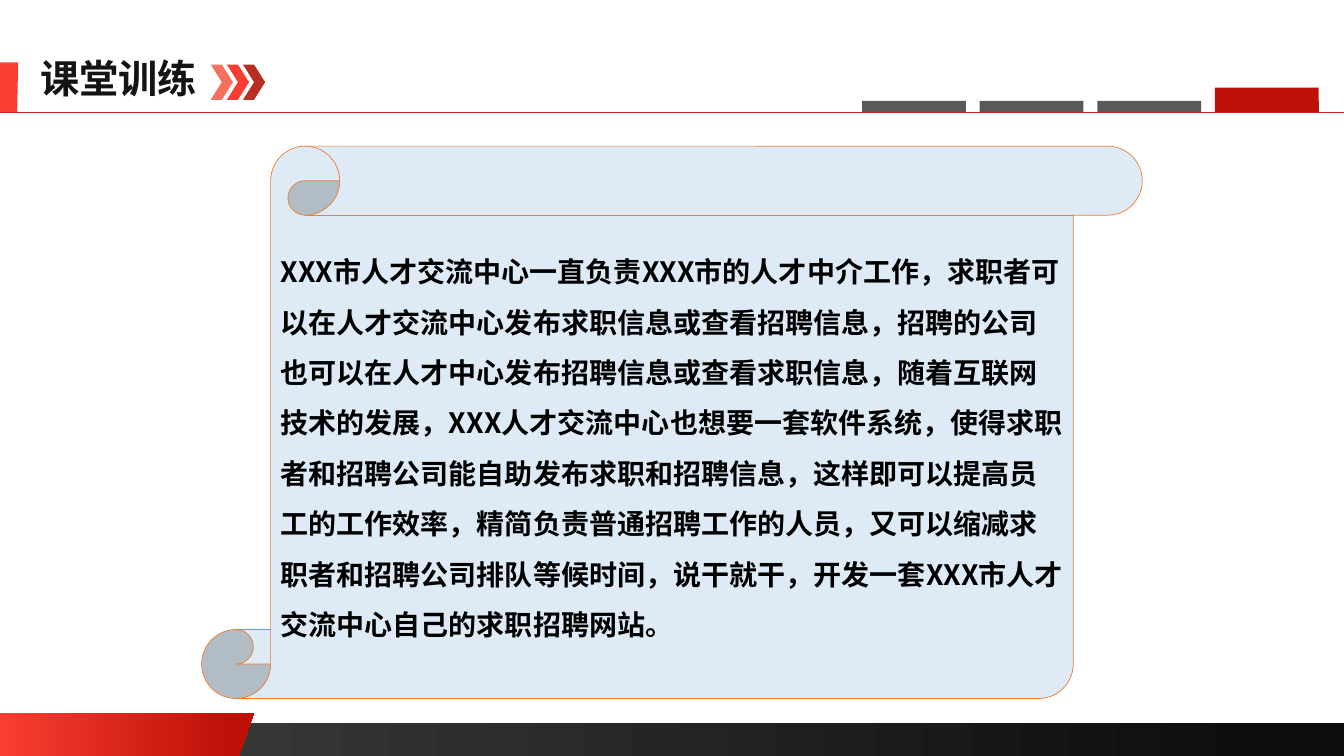
"""Build the class exercise slide with its scroll of text."""
import dataclasses

import lxml.etree
import pptx
import pptx.dml.color
import pptx.enum.shapes
import pptx.enum.text
import pptx.oxml.ns
import pptx.util

Inches = pptx.util.Inches
Kind = pptx.enum.shapes.MSO_SHAPE
Anchor = pptx.enum.text.MSO_ANCHOR
Align = pptx.enum.text.PP_ALIGN

FONT = "Noto Sans CJK SC"
WIDTH, HEIGHT = 13.33, 7.5
HEX = {
    "red": "F93D32", "deep": "BE1007", "brick": "B82E24", "coral": "F5715B",
    "gray": "595959", "coal": "404040", "night": "0D0D0D",
    "sky": "DEEBF7", "orange": "ED7D31", "ink": "141316", "black": "000000",
}
STORY = (
    "XXX市人才交流中心一直负责XXX市的人才中介工作，求职者可以在人才交流中心发布求职信息或查看招聘信息，"
    "招聘的公司也可以在人才中心发布招聘信息或查看求职信息，随着互联网技术的发展，"
    "XXX人才交流中心也想要一套软件系统，使得求职者和招聘公司能自助发布求职和招聘信息，"
    "这样即可以提高员工的工作效率，精简负责普通招聘工作的人员，又可以缩减求职者和招聘公司排队等候时间，"
    "说干就干，开发一套XXX市人才交流中心自己的求职招聘网站。"
)


@dataclasses.dataclass
class Box:
    """A preset shape with its place and fill."""
    kind: Kind
    left: float
    top: float
    width: float
    height: float
    fill: str


@dataclasses.dataclass
class Patch:
    """A filled polygon given by its corners."""
    points: list[tuple[float, float]]
    fill: str


def tint(name: str) -> pptx.dml.color.RGBColor:
    """Return the named colour."""
    return pptx.dml.color.RGBColor.from_string(HEX[name])


def paint(shape, name: str) -> None:
    """Give a shape a plain fill without line or shadow."""
    shape.shadow.inherit = False
    shape.fill.solid()
    shape.fill.fore_color.rgb = tint(name)
    shape.line.fill.background()


def fade(shape, first: str, last: str, end: float) -> None:
    """Fill a shape with a gradient from left to right."""
    shape.fill.gradient()
    shape.fill.gradient_angle = 0
    for stop, name, spot in zip(shape.fill.gradient_stops, (first, last), (0, end)):
        stop.color.rgb = tint(name)
        stop.position = spot


def add_box(shapes, box: Box):
    """Draw a preset shape."""
    place = map(Inches, (box.left, box.top, box.width, box.height))
    shape = shapes.add_shape(box.kind, *place)
    paint(shape, box.fill)
    return shape


def add_patch(shapes, patch: Patch):
    """Draw a polygon."""
    start, *rest = [(Inches(x), Inches(y)) for x, y in patch.points]
    pen = shapes.build_freeform(*start)
    pen.add_line_segments(rest, close=True)
    shape = pen.convert_to_shape()
    paint(shape, patch.fill)
    return shape


def write(shape, text: str, *, size: float, color: str, anchor: Anchor,
          space: float = 1.0, wrap: bool = True) -> None:
    """Set bold left-aligned text in a shape."""
    frame = shape.text_frame
    frame.word_wrap = wrap
    frame.vertical_anchor = anchor
    line = frame.paragraphs[0]
    line.alignment = Align.LEFT
    line.line_spacing = space
    run = line.add_run()
    run.text = text
    run.font.size = pptx.util.Pt(size)
    run.font.bold = True
    run.font.color.rgb = tint(color)
    run.font.name = FONT
    east = lxml.etree.SubElement(run._r.get_or_add_rPr(), pptx.oxml.ns.qn("a:ea"))
    east.set("typeface", FONT)


def add_rule(shapes, top: float) -> None:
    """Draw the thin line under the heading."""
    rule = shapes.add_connector(
        pptx.enum.shapes.MSO_CONNECTOR.STRAIGHT,
        Inches(0), Inches(top), Inches(WIDTH), Inches(top))
    rule.line.color.rgb = tint("brick")
    rule.line.width = pptx.util.Pt(0.5)
    lxml.etree.SubElement(rule._element.spPr, pptx.oxml.ns.qn("a:effectLst"))


def main() -> None:
    """Build and save the slide."""
    deck = pptx.Presentation()
    deck.slide_width, deck.slide_height = Inches(WIDTH), Inches(HEIGHT)
    slide = deck.slides.add_slide(deck.slide_layouts[5])
    shapes = slide.shapes

    title = shapes.title
    title.left, title.top = Inches(0.3), Inches(0.49)
    title.width, title.height = Inches(1.77), Inches(0.57)
    write(title, "课堂训练", size=28, color="ink", anchor=Anchor.TOP, wrap=False)
    title.text_frame.auto_size = pptx.enum.text.MSO_AUTO_SIZE.SHAPE_TO_FIT_TEXT

    foot = add_box(shapes, Box(Kind.RECTANGLE, 0, 7.17, WIDTH, 0.33, "coal"))
    fade(foot, "coal", "night", 0.94)
    wedge = add_patch(shapes, Patch(
        [(0, 7.07), (2.52, 7.07), (2.37, HEIGHT), (0, HEIGHT)], "red"))
    fade(wedge, "red", "deep", 0.91)
    add_patch(shapes, Patch(
        [(0, 0.62), (0.18, 0.62), (0.17, 1.12), (0, 1.12)], "red"))

    scroll = add_box(shapes, Box(Kind.VERTICAL_SCROLL, 2, 1.45, 9.33, 5.48, "sky"))
    scroll.line.color.rgb = tint("orange")
    scroll.line.width = pptx.util.Pt(0.5)
    write(scroll, STORY, size=20, color="black", anchor=Anchor.MIDDLE, space=1.5)

    add_rule(shapes, 1.11)
    marks = [Box(Kind.CHEVRON, 2.09 + 0.16 * i, 0.64, 0.22, 0.35, name)
             for i, name in enumerate(("coral", "red", "brick"))]
    tabs = [Box(Kind.RECTANGLE, 8.55 + 1.167 * i, 1, 1.03, 0.11, "gray")
            for i in range(4)]
    live = Box(Kind.RECTANGLE, 12.05, 0.87, 1.03, 0.24, "deep")
    for box in (*marks, *tabs, live):
        add_box(shapes, box)

    deck.save("out.pptx")


if __name__ == "__main__":
    main()
